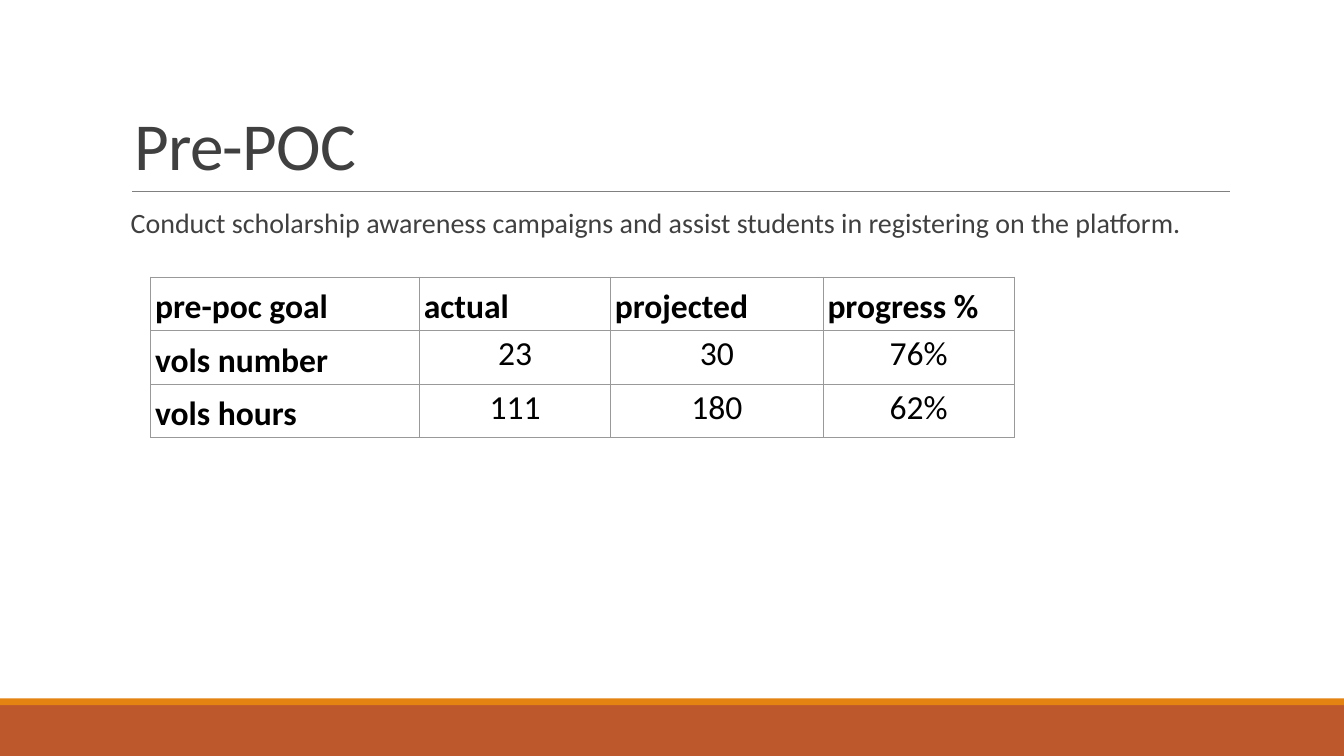
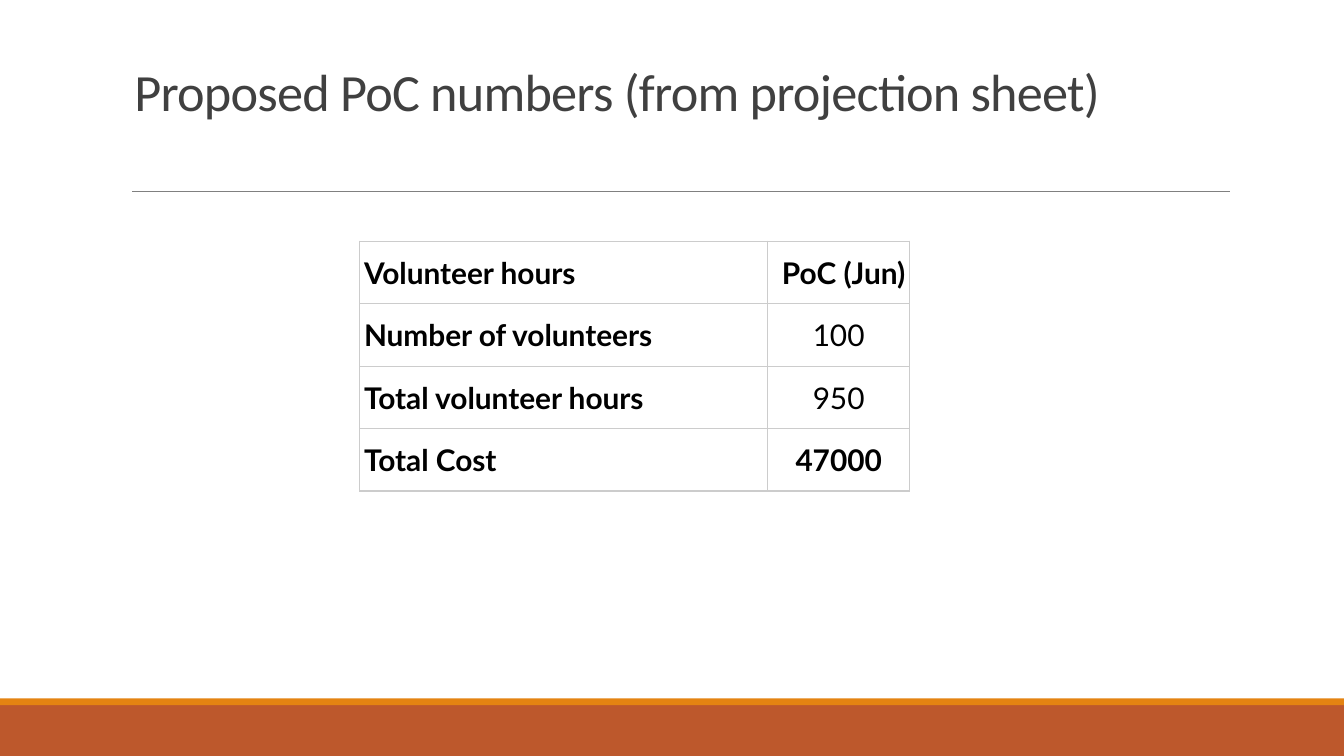
from lxml.etree import SubElement
from pptx import Presentation
from pptx.dml.color import RGBColor
from pptx.enum.shapes import MSO_CONNECTOR as Link, MSO_SHAPE as Shape
from pptx.enum.text import MSO_ANCHOR as Anchor, PP_ALIGN as Align
from pptx.oxml.ns import qn
from pptx.util import Cm, Pt

RUST = RGBColor(0xBD, 0x58, 0x2C)
ORANGE = RGBColor(0xE4, 0x83, 0x12)
GREY = RGBColor(0x80, 0x80, 0x80)
DARK = RGBColor(0x40, 0x40, 0x40)
BLACK = RGBColor(0, 0, 0)
WHITE = RGBColor(0xFF, 0xFF, 0xFF)
MID = RGBColor(0x99, 0x99, 0x99)
PALE = RGBColor(0xCC, 0xCC, 0xCC)
LEFT, CENTER, RIGHT = Align.LEFT, Align.CENTER, Align.RIGHT


def style(para, font, size, color, bold=False):
    for run in para.runs:
        run.font.name = font
        run.font.size = Pt(size)
        run.font.color.rgb = color
        run.font.bold = bold


def border(cell, color):
    """Draw a thin line on all four sides; runs before the cell is filled."""
    props = cell._tc.get_or_add_tcPr()
    for side in ("lnL", "lnR", "lnT", "lnB"):
        line = SubElement(props, qn(f"a:{side}"), w=str(Pt(0.68)))
        fill = SubElement(line, qn("a:solidFill"))
        SubElement(fill, qn("a:srgbClr"), val=str(color))


goals = [
    ["pre-poc goal", "actual", "projected", "progress %"],
    ["vols number", "23", "30", "76%"],
    ["vols hours", "111", "180", "62%"],
]
costs = [
    ["Volunteer hours", "PoC (Jun)"],
    ["Number of volunteers", "100"],
    ["Total volunteer hours", "950"],
    ["Total Cost", "47000"],
]
pages = [
    dict(title="Pre-POC", size=36, drop=0.13,
         body="Conduct scholarship awareness campaigns and assist students "
              "in registering on the platform.",
         rows=goals, left=2.85, top=5.24, wide=[5.08, 3.61, 4.02, 3.61],
         high=1, font="Calibri", text=18, edge=MID, pad=0.06,
         anchor=Anchor.TOP, head=LEFT, space=1.15, strong=[]),
    dict(title="Proposed PoC numbers (from projection sheet)", size=28,
         drop=1.3, body=None,
         rows=costs, left=6.8, top=4.56, wide=[7.71, 2.68],
         high=1.18, font="Lato", text=16, edge=PALE, pad=0.25,
         anchor=Anchor.BOTTOM, head=RIGHT, space=1, strong=["47000"]),
]

deck = Presentation()
deck.slide_width, deck.slide_height = Cm(25.4), Cm(14.29)

for page in pages:
    slide = deck.slides.add_slide(deck.slide_layouts[6])
    shapes = slide.shapes

    # Footer bands and the rule under the title
    for top, high, color in [(13.33, 0.96, RUST), (13.2, 0.13, ORANGE)]:
        band = shapes.add_shape(Shape.RECTANGLE, 0, Cm(top), Cm(25.4), Cm(high))
        band.shadow.inherit = False
        band.fill.solid()
        band.fill.fore_color.rgb = color
        band.line.fill.background()
    rule = shapes.add_connector(
        Link.STRAIGHT, Cm(2.5), Cm(3.62), Cm(23.25), Cm(3.62))
    rule.line.color.rgb = GREY
    rule.line.width = Pt(0.5)
    SubElement(rule._element.spPr, qn("a:effectLst"))

    # Table
    rows, wide = page["rows"], page["wide"]
    frame = shapes.add_table(
        len(rows), len(wide), Cm(page["left"]), Cm(page["top"]),
        Cm(sum(wide)), Cm(page["high"] * len(rows)))
    table = frame.table
    table.first_row = table.horz_banding = False
    for col, width in zip(table.columns, wide):
        col.width = Cm(width)
    for r, row in enumerate(rows):
        table.rows[r].height = Cm(page["high"])
        for c, text in enumerate(row):
            cell = table.cell(r, c)
            label = r == 0 or c == 0
            border(cell, page["edge"])
            cell.fill.solid()
            cell.fill.fore_color.rgb = WHITE
            cell.margin_left = cell.margin_right = Cm(0.08)
            cell.margin_top = cell.margin_bottom = Cm(page["pad"])
            cell.vertical_anchor = page["anchor"]
            cell.text_frame.text = text
            para = cell.text_frame.paragraphs[0]
            para.alignment = LEFT if c == 0 else page["head"] if r == 0 else CENTER
            para.line_spacing = page["space"] if label else 1.0
            style(para, page["font"], page["text"], BLACK,
                  label or text in page["strong"])

    # Title
    box = shapes.add_textbox(Cm(2.29), Cm(0.6), Cm(20.95), Cm(3.02))
    frame = box.text_frame
    frame.word_wrap = True
    frame.vertical_anchor = Anchor.BOTTOM
    frame.margin_bottom = Cm(page["drop"])
    frame.text = page["title"]
    para = frame.paragraphs[0]
    para.line_spacing = 0.85
    style(para, "Calibri", page["size"], DARK)
    para.runs[0].font._element.set("spc", "-40")

    # Lead sentence
    if page["body"]:
        box = shapes.add_textbox(Cm(2.29), Cm(3.84), Cm(20.95), Cm(8.38))
        frame = box.text_frame
        frame.word_wrap = True
        frame.margin_left, frame.margin_right = Cm(0.18), 0
        frame.text = page["body"]
        para = frame.paragraphs[0]
        para.line_spacing = 0.9
        para.space_before, para.space_after = Pt(9), Pt(1.5)
        style(para, "Calibri", 15, DARK)

deck.save("out.pptx")
